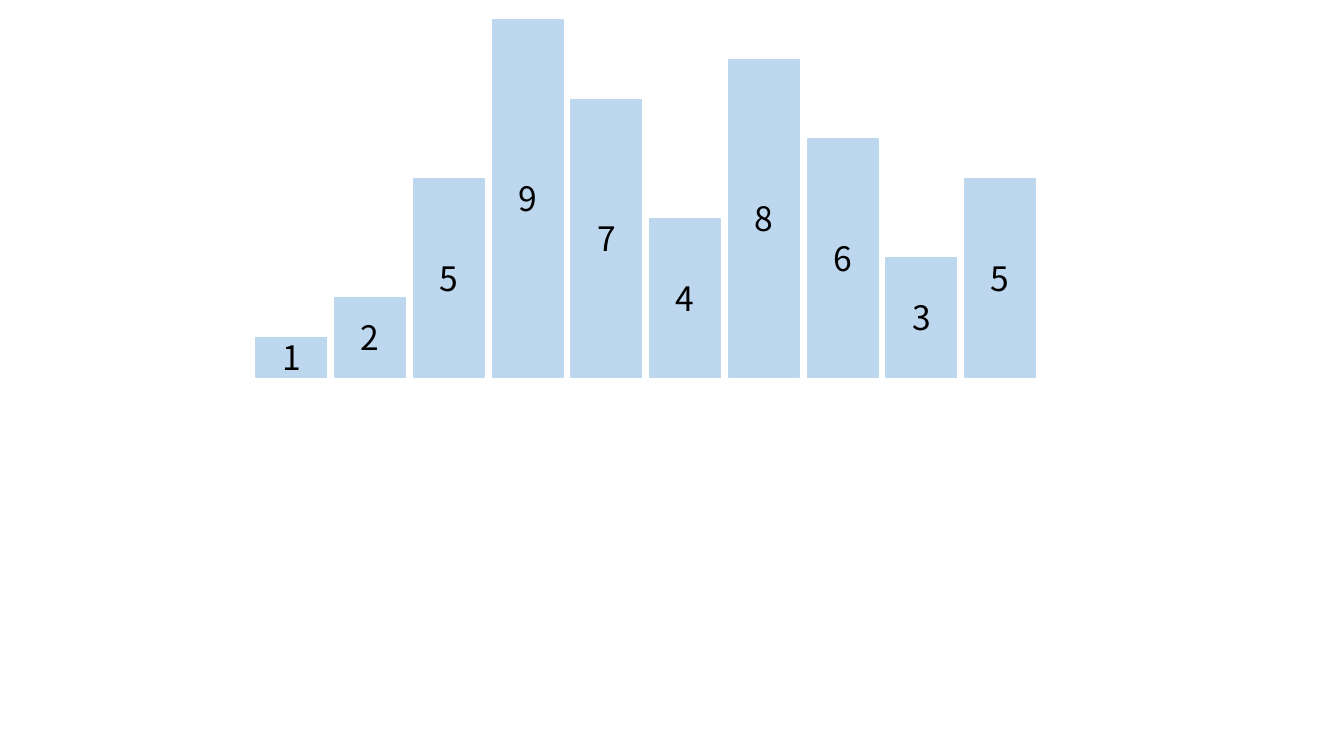
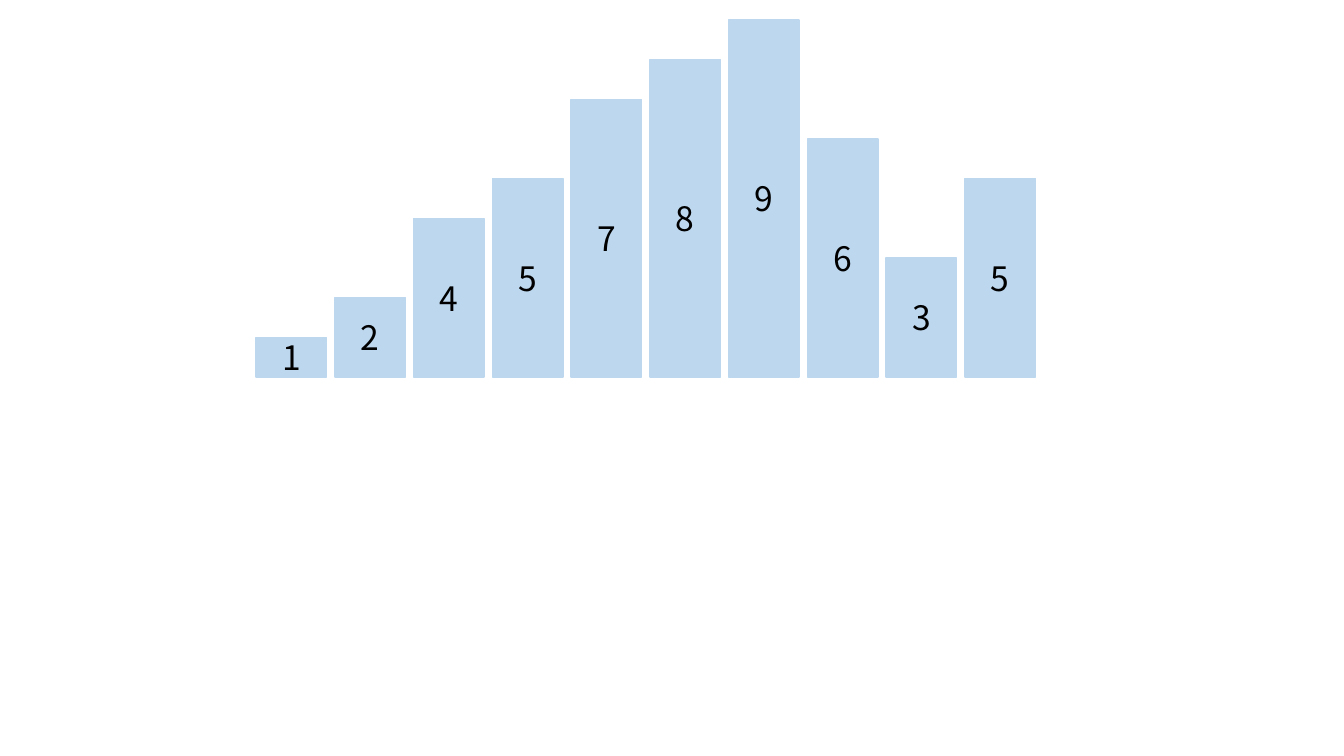
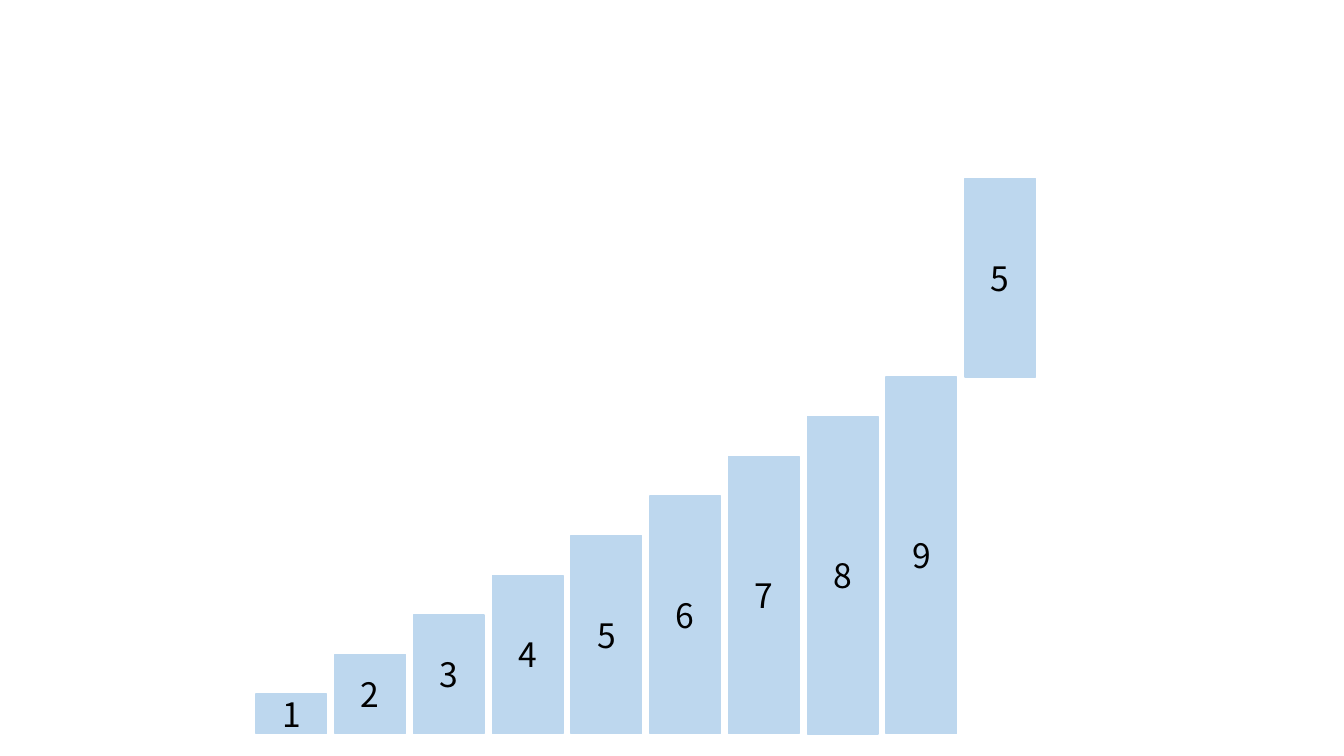
from pptx import Presentation
from pptx.dml.color import RGBColor
from pptx.enum.shapes import MSO_SHAPE
from pptx.enum.text import MSO_ANCHOR, PP_ALIGN
from pptx.util import Inches, Pt

BLUE = RGBColor(0xBD, 0xD7, 0xEE)
BLACK = RGBColor(0, 0, 0)
FONT = "Noto Sans CJK SC"

# Both rows share one grid: ten columns, nine levels
COLS, LEVELS = 10, 9
LEFT, WIDTH, HEIGHT = 2.54, 7.73, 3.54
BAR = 0.7
UPPER, LOWER = 0.2, 3.74  # tops of the two rows


def add_bar(slide, left, top, height, value):
    """Place one bar with its value in the middle."""
    bar = slide.shapes.add_shape(
        MSO_SHAPE.RECTANGLE,
        Inches(left), Inches(top), Inches(BAR), Inches(height))
    bar.shadow.inherit = False
    bar.fill.solid()
    bar.fill.fore_color.rgb = BLUE
    bar.line.color.rgb = BLUE
    bar.line.width = Pt(1)

    frame = bar.text_frame
    frame.text = str(value)
    frame.vertical_anchor = MSO_ANCHOR.MIDDLE
    label = frame.paragraphs[0]
    label.alignment = PP_ALIGN.CENTER
    font = label.runs[0].font
    font.name = FONT
    font.size = Pt(24)
    font.color.rgb = BLACK


def add_row(slide, top, values, first=0):
    """Stand bars on the floor of a row, from the given column on."""
    step = (WIDTH - BAR) / (COLS - 1)
    for col, value in enumerate(values, first):
        height = HEIGHT * value / LEVELS
        add_bar(slide, LEFT + col * step, top + HEIGHT - height, height, value)


def main():
    deck = Presentation()
    deck.slide_width, deck.slide_height = Inches(13.33), Inches(7.5)
    blank = deck.slide_layouts[6]

    # Unsorted, then two sorted runs, then the merge: (top, values, first column)
    stages = [
        [(UPPER, [1, 2, 5, 9, 7, 4, 8, 6, 3, 5], 0)],
        [(UPPER, [1, 2, 4, 5, 7, 8, 9, 6, 3, 5], 0)],
        [(UPPER, [5], 9), (LOWER, range(1, 10), 0)],
    ]
    for rows in stages:
        slide = deck.slides.add_slide(blank)
        for top, values, first in rows:
            add_row(slide, top, values, first)

    deck.save("out.pptx")


if __name__ == "__main__":
    main()
